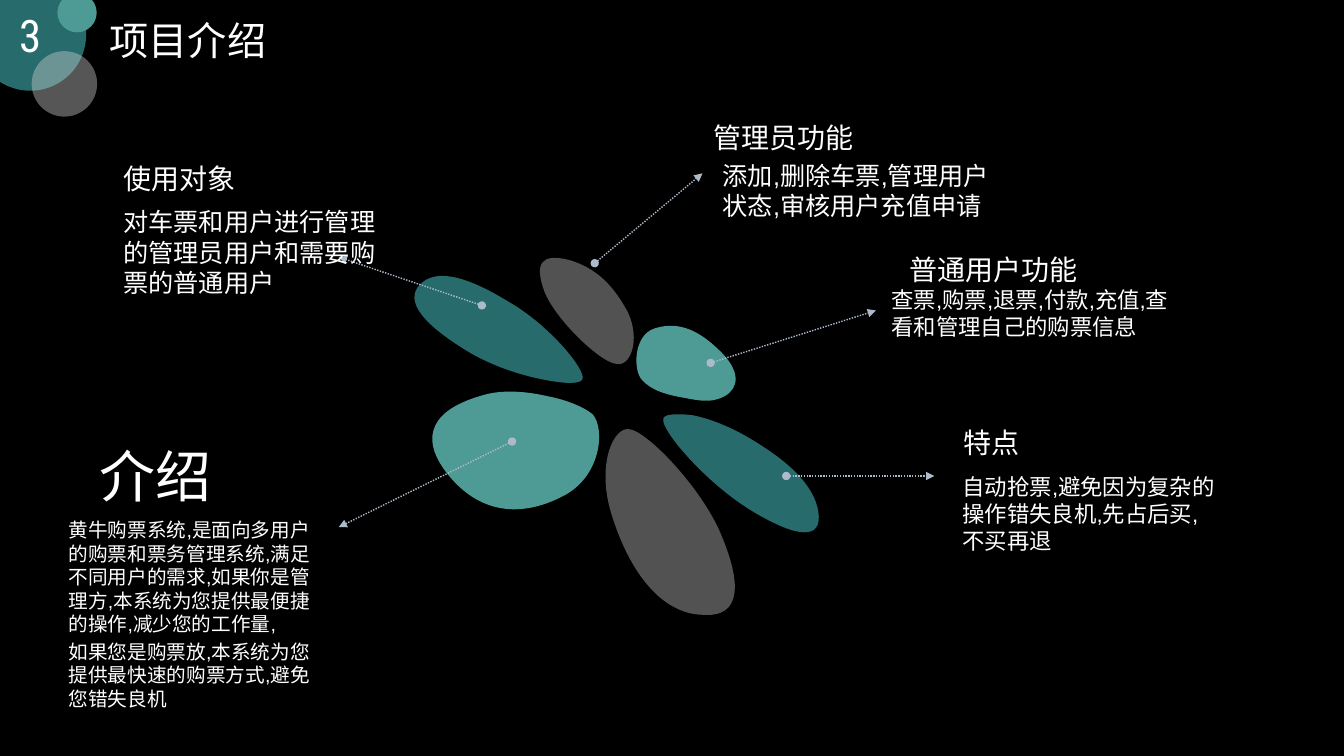
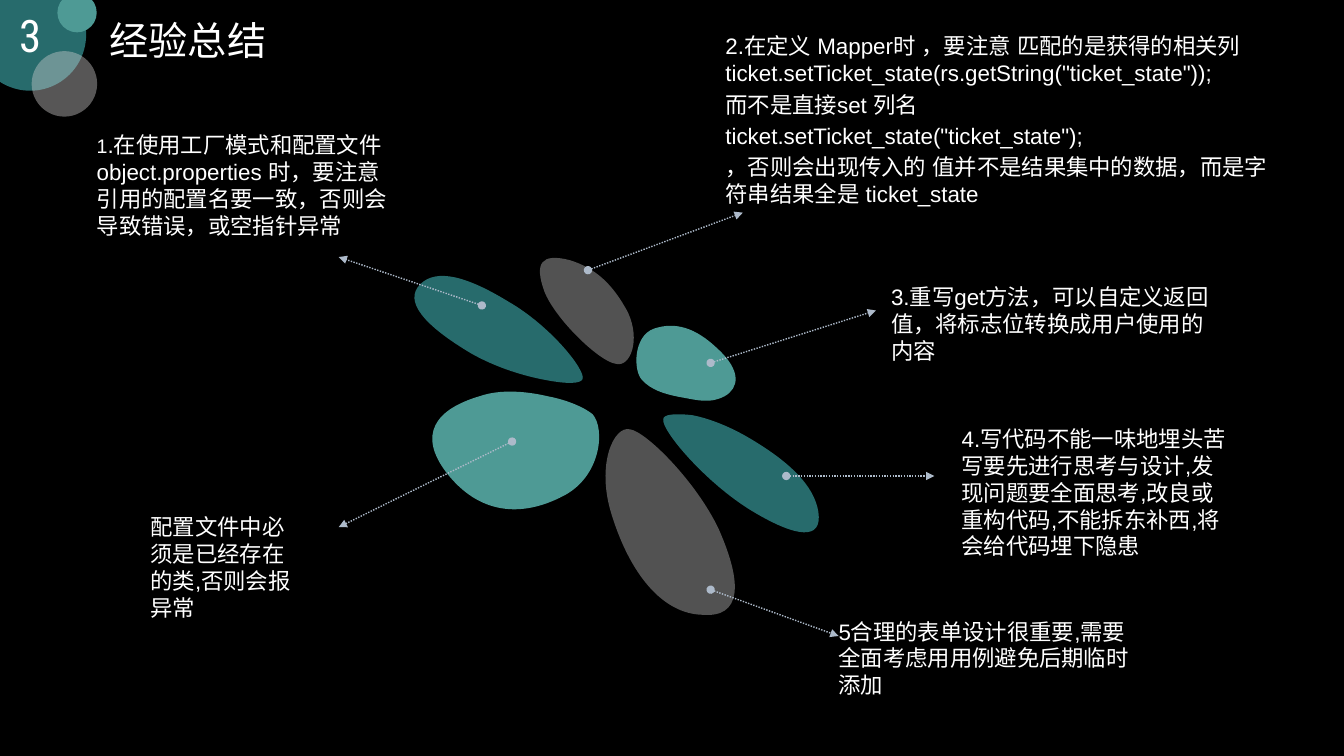
import pptx
import pptx.dml.color
import pptx.enum.dml
import pptx.enum.shapes
import pptx.enum.text
import pptx.oxml
import pptx.oxml.ns
import pptx.util

Pt = pptx.util.Pt
RGBColor = pptx.dml.color.RGBColor
qn = pptx.oxml.ns.qn

# Style
BLACK = RGBColor(0x00, 0x00, 0x00)
WHITE = RGBColor(0xFF, 0xFF, 0xFF)
TEAL = RGBColor(0x27, 0x6B, 0x6C)
MINT = RGBColor(0x4E, 0x9A, 0x95)
SILVER = RGBColor(0xD0, 0xCE, 0xCE)
ARROW = RGBColor(0xAD, 0xBA, 0xCA)
BODY_FONT = "Arial"
TITLE_FONT = "Noto Sans CJK JP"
NUMBER_FONT = "Roboto Condensed"

# Petals: colour, opacity, start point, then Bézier segments (two controls, end)
PETALS = [
    (WHITE, 32, (450, 306.7), [
        ((438.5, 303.8), (425.5, 331.9), (437, 367.9)),
        ((450, 409.7), (473, 438.5), (501.8, 439.2)),
        ((529.9, 441.4), (530.6, 416.9), (513.4, 378)),
        ((497.5, 344.2), (461.5, 308.2), (450, 306.7))]),
    (TEAL, 100, (473.8, 299.5), [
        ((472.3, 307.4), (504, 344.9), (537.1, 365)),
        ((569.5, 384.5), (587.5, 385.9), (584.6, 365.8)),
        ((581.8, 347), (563.8, 329.8), (535.7, 313.2)),
        ((521.3, 304.6), (506.2, 298.8), (494.6, 296.6)),
        ((482.4, 295.2), (473.8, 295.9), (473.8, 299.5))]),
    (WHITE, 32, (439.9, 259.9), [
        ((450, 262.8), (457.9, 243.4), (448.6, 223.2)),
        ((437.8, 203), (425.5, 191.5), (406.8, 185.8)),
        ((386.6, 180.7), (381.6, 187.9), (388.8, 208.1)),
        ((396.7, 228.2), (428.4, 258.5), (439.9, 259.9))]),
    (TEAL, 100, (416.2, 270.7), [
        ((418.3, 264.2), (393.1, 232.6), (362.9, 215.3)),
        ((333.4, 197.3), (311.8, 191.5), (300.2, 203)),
        ((288, 215.3), (303.1, 232.6), (337, 252.7)),
        ((355, 262.8), (374.4, 268.6), (389.5, 271.4)),
        ((404.6, 274.3), (414.7, 274.3), (416.2, 270.7))]),
    (MINT, 100, (458.6, 271.4), [
        ((465.1, 278.6), (474.5, 281.5), (486, 283.7)),
        ((498.2, 285.8), (506.9, 288.7), (517.7, 283)),
        ((527.8, 277.2), (529.9, 265), (512.6, 249.1)),
        ((496.8, 234), (482.4, 229.7), (467.3, 234.7)),
        ((452.2, 239.8), (452.2, 265), (458.6, 271.4))]),
    (MINT, 100, (423.4, 295.9), [
        ((418.3, 291.6), (406.1, 285.8), (391, 283)),
        ((375.8, 279.4), (357.1, 277.9), (342.7, 283)),
        ((311, 292.3), (298.1, 310.3), (319, 337.7)),
        ((342, 367.2), (372.2, 370.1), (402.5, 354.2)),
        ((429.1, 340.6), (432.7, 306.7), (423.4, 295.9))]),
]

# Arrows found on every slide: start, end
SHARED_ARROWS = [
    ((507.6, 259.2), (625.7, 221.8)),
    ((344.2, 218.2), (241.9, 183.6)),
    ((365.8, 315.4), (241.9, 376.6)),
    ((561.6, 340), (667.4, 340)),
]

# Slides: title, own arrows, padded labels, callouts
# Labels and callouts: left, top, width, height, size, paragraphs
SLIDES = [
    ("项目介绍", [((424.8, 188), (501.8, 123.8))], [
        (502.6, 82.8, 164.9, 31.7, 20, ["管理员功能"]),
    ], [
        (88.1, 115.2, 113.8, 24.5, 20, ["使用对象"]),
        (88.1, 147.6, 196.6, 65.5, 18,
         ["对车票和用户进行管理的管理员用户和需要购票的普通用户"]),
        (71.3, 315.4, 139, 48.2, 40, ["介绍"]),
        (49, 370.1, 183.6, 139, 14, [
            "黄牛购票系统,是面向多用户的购票和票务管理系统,满足不同用户的需求,"
            "如果你是管理方,本系统为您提供最便捷的操作,减少您的工作量,",
            "如果您是购票放,本系统为您提供最快速的购票方式,避免您错失良机"]),
        (516.2, 114.6, 195.8, 43.9, 18,
         ["添加,删除车票,管理用户状态,审核用户充值申请"]),
        (649.4, 180.7, 159.1, 24.5, 20, ["普通用户功能"]),
        (636.8, 204.5, 202.3, 38.9, 16,
         ["查票,购票,退票,付款,充值,查看和管理自己的购票信息"]),
        (687.9, 303.8, 120.2, 24.5, 20, ["特点"]),
        (687.6, 338.2, 183.6, 58.3, 16,
         ["自动抢票,避免因为复杂的操作错失良机,先占后买,不买再退"]),
    ]),
    ("经验总结", [((420, 193), (530.6, 151.9)), ((507.6, 421.2), (599, 454.3))], [], [
        (69.1, 94, 213.8, 77.8, 16, [
            [("1", 14),
             (".在使用工厂模式和配置文件 object.properties 时，"
              "要注意引用的配置名要一致，否则会导致错误，或空指针异常", 16)]]),
        (518.2, 23.2, 391.7, 127.4, 16, [
            "2.在定义 Mapper时 ，要注意 匹配的是获得的相关列"
            'ticket.setTicket_state(rs.getString("ticket_state"));',
            "而不是直接set 列名",
            'ticket.setTicket_state("ticket_state");',
            "，否则会出现传入的 值并不是结果集中的数据，而是字符串结果全是 ticket_state"]),
        (636.5, 202.3, 227.5, 58.3, 16,
         ["3.重写get方法，可以自定义返回值，将标志位转换成用户使用的内容"]),
        (686.9, 303.6, 195.1, 97.2, 16,
         ["4.写代码不能一味地埋头苦写要先进行思考与设计,发现问题要全面思考,"
          "改良或重构代码,不能拆东补西,将会给代码埋下隐患"]),
        (107.5, 366.5, 100.8, 77.8, 16,
         ["配置文件中必须是已经存在的类,否则会报异常"]),
        (599, 441.2, 211.7, 58.3, 16,
         ["5合理的表单设计很重要,需要全面考虑用用例避免后期临时添加"]),
    ]),
]


def add_element(parent, tag, **attributes):
    child = pptx.oxml.parse_xml(f"<{tag} {pptx.oxml.ns.nsdecls('a')}/>")
    for name, value in attributes.items():
        child.set(name, value)
    parent.append(child)
    return child


def write(para, text, *, size, font=BODY_FONT, color=WHITE):
    span = para.add_run()
    span.text = text
    span.font.size = Pt(size)
    span.font.name = font
    span.font.color.rgb = color
    add_element(span.font._element, "a:ea", typeface=font)


def bend(shape):
    """Turn each three straight segments of an outline into one cubic curve."""
    outline = shape._element.spPr.find(".//" + qn("a:path"))
    close = outline.find(qn("a:close"))
    lines = outline.findall(qn("a:lnTo"))
    for index, line in enumerate(lines):
        if index % 3 == 0:
            curve = add_element(outline, "a:cubicBezTo")
        curve.append(line[0])
        outline.remove(line)
    outline.append(close)


class Slides:
    def __init__(self):
        self.deck = pptx.Presentation()
        self.deck.slide_width = Pt(960)
        self.deck.slide_height = Pt(540)
        self.page = None

    def new_page(self):
        self.page = self.deck.slides.add_slide(self.deck.slide_layouts[6])
        fill = self.page.background.fill
        fill.solid()
        fill.fore_color.rgb = BLACK

    def paint(self, shape, color, opacity):
        shape.shadow.inherit = False
        shape.line.fill.background()
        shape.fill.solid()
        shape.fill.fore_color.rgb = color
        if opacity < 100:
            tint = shape._element.spPr.find(".//" + qn("a:srgbClr"))
            add_element(tint, "a:alpha", val=str(opacity * 1000))

    def petal(self, color, opacity, start, segments):
        # Tenths of a point keep the outline precise on the integer grid
        tenths = [(x * 10, y * 10) for segment in segments for x, y in segment]
        builder = self.page.shapes.build_freeform(
            start[0] * 10, start[1] * 10, scale=Pt(0.1))
        builder.add_line_segments(tenths, close=True)
        shape = builder.convert_to_shape()
        bend(shape)
        self.paint(shape, color, opacity)

    def circle(self, left, top, diameter, color, opacity=100):
        oval = self.page.shapes.add_shape(
            pptx.enum.shapes.MSO_SHAPE.OVAL,
            Pt(left), Pt(top), Pt(diameter), Pt(diameter))
        self.paint(oval, color, opacity)
        return oval

    def arrow(self, start, end):
        arrow = self.page.shapes.add_connector(
            pptx.enum.shapes.MSO_CONNECTOR.STRAIGHT,
            *(Pt(value) for value in (*start, *end)))
        arrow.line.width = Pt(1)
        arrow.line.color.rgb = ARROW
        arrow.line.dash_style = pptx.enum.dml.MSO_LINE.ROUND_DOT
        outline = arrow.line._get_or_add_ln()
        add_element(outline, "a:headEnd", type="oval")
        add_element(outline, "a:tailEnd", type="triangle")
        add_element(arrow._element.spPr, "a:effectLst")

    def text_box(self, left, top, width, height, size, paragraphs, font=BODY_FONT):
        box = self.page.shapes.add_textbox(Pt(left), Pt(top), Pt(width), Pt(height))
        frame = box.text_frame
        frame.word_wrap = True
        frame.auto_size = pptx.enum.text.MSO_AUTO_SIZE.SHAPE_TO_FIT_TEXT
        for index, content in enumerate(paragraphs):
            para = frame.add_paragraph() if index else frame.paragraphs[0]
            spans = [(content, size)] if isinstance(content, str) else content
            for text, span_size in spans:
                write(para, text, size=span_size, font=font)
        return frame

    def callout(self, left, top, width, height, size, paragraphs):
        frame = self.text_box(left, top, width, height, size, paragraphs)
        frame.margin_left = frame.margin_right = 0
        frame.margin_top = frame.margin_bottom = 0
        for para in frame.paragraphs:
            para.space_before = Pt(size * 0.2)

    def header(self, number, title):
        badge = self.circle(-18.4, -15.1, 79.9, TEAL)
        badge.text_frame.vertical_anchor = pptx.enum.text.MSO_ANCHOR.MIDDLE
        para = badge.text_frame.paragraphs[0]
        para.alignment = pptx.enum.text.PP_ALIGN.CENTER
        write(para, number, size=32, font=NUMBER_FONT)
        self.circle(22.6, 36.5, 46.8, SILVER, 42)
        self.circle(41, -5, 28.1, MINT)
        self.text_box(71.3, 8.2, 242.6, 41, 28, [title], TITLE_FONT)


def main():
    slides = Slides()
    for title, own_arrows, labels, callouts in SLIDES:
        slides.new_page()
        for petal in PETALS:
            slides.petal(*petal)
        for arrow in SHARED_ARROWS + own_arrows:
            slides.arrow(*arrow)
        for callout in callouts:
            slides.callout(*callout)
        slides.header("3", title)
        for label in labels:
            slides.text_box(*label)
    slides.deck.save("out.pptx")


if __name__ == "__main__":
    main()
